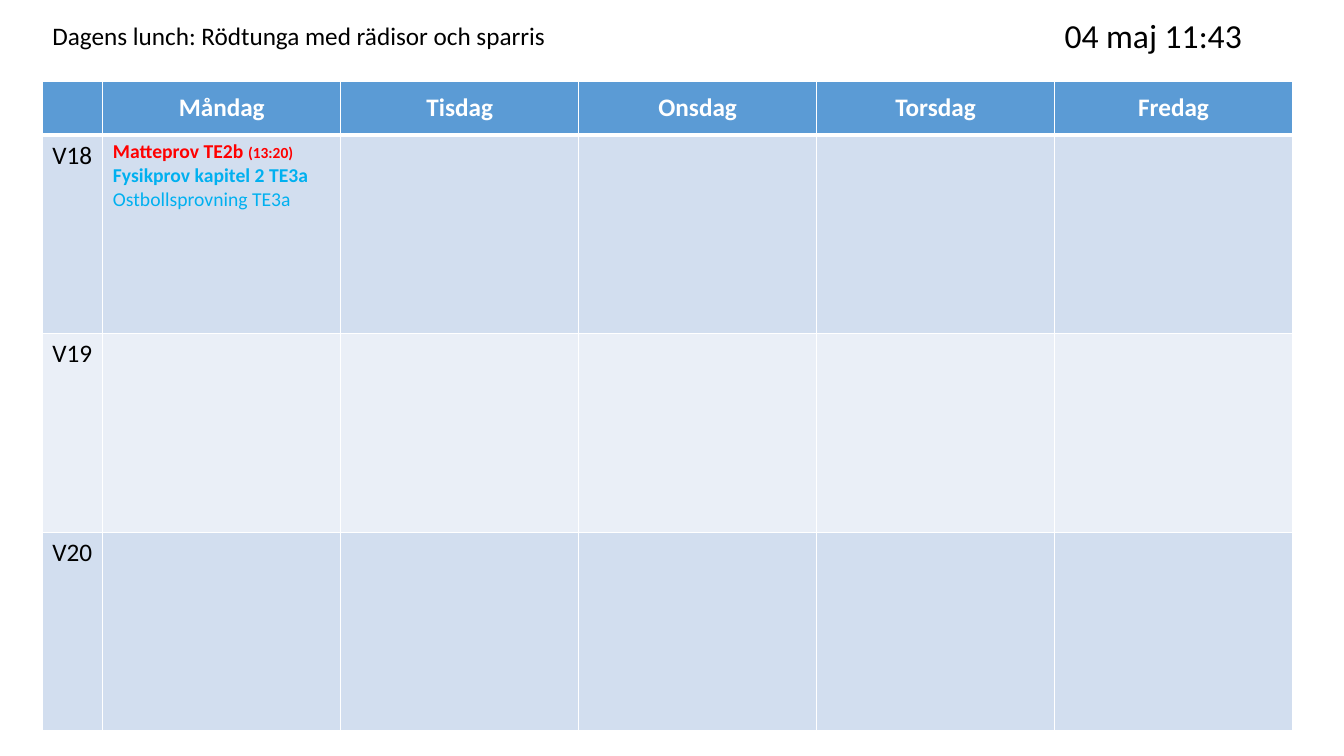
"""Build a three-week school planner slide with the lunch of the day."""
from lxml.etree import SubElement
from pptx import Presentation
from pptx.dml.color import RGBColor
from pptx.enum.text import MSO_ANCHOR, MSO_AUTO_SIZE, PP_ALIGN
from pptx.oxml.ns import qn
from pptx.util import Inches, Pt

COLORS = {
    "header": "5B9BD5",
    "odd_week": "D2DEEF",
    "even_week": "EAEFF7",
    "white": "FFFFFF",
    "black": "000000",
    "red": "FF0000",
    "blue": "00B0F0",
}
FONT = "Calibri"
GRID_STEP = Inches(0.1)
DAYS = ["Måndag", "Tisdag", "Onsdag", "Torsdag", "Fredag"]
WEEKS = ["V18", "V19", "V20"]
MONDAY_EVENTS = [
    [("Matteprov TE2b ", 14, "red", True), ("(13:20)", 11, "red", True)],
    [("Fysikprov kapitel 2 TE3a", 14, "blue", True)],
    [("Ostbollsprovning TE3a", 14, "blue", False)],
]


class Planner:
    def __init__(self, deck):
        self.slide = deck.slides.add_slide(deck.slide_layouts[5])

    def grid(self, *steps):
        return [round(step * GRID_STEP) for step in steps]

    def fill_text(self, frame, lines, align=PP_ALIGN.LEFT):
        frame.text = "\n".join("" for _ in lines)
        for paragraph, pieces in zip(frame.paragraphs, lines):
            paragraph.alignment = align
            for words, size, color, bold in pieces:
                run = paragraph.add_run()
                run.text = words
                run.font.name = FONT
                run.font.size = Pt(size)
                run.font.bold = bold
                run.font.color.rgb = RGBColor.from_string(COLORS[color])

    def heading(self, words, size, area):
        title = self.slide.shapes.title
        title.left, title.top, title.width, title.height = self.grid(*area)
        self.label(title.text_frame, words, size)

    def text(self, words, size, area):
        box = self.slide.shapes.add_textbox(*self.grid(*area))
        self.label(box.text_frame, words, size)

    def label(self, frame, words, size):
        self.fill_text(frame, [[(words, size, "black", False)]])
        frame.word_wrap = True
        frame.auto_size = MSO_AUTO_SIZE.SHAPE_TO_FIT_TEXT
        frame.vertical_anchor = MSO_ANCHOR.TOP

    def table(self, area, widths, heights):
        planner = self.slide.shapes.add_table(len(heights), len(widths), *self.grid(*area)).table
        for column, width in zip(planner.columns, self.grid(*widths)):
            column.width = width
        for row, height in zip(planner.rows, self.grid(*heights)):
            row.height = height
        for row_number, row in enumerate(planner.rows):
            fill = "header" if row_number == 0 else "odd_week" if row_number % 2 else "even_week"
            top = 3 if row_number == 1 else 1
            bottom = 3 if row_number == 0 else 1
            for cell in row.cells:
                self.cell_style(cell, fill, {"L": 1, "R": 1, "T": top, "B": bottom})
        return planner

    def cell_style(self, cell, fill, borders):
        properties = cell._tc.get_or_add_tcPr()
        for side, width in borders.items():
            line = SubElement(properties, qn(f"a:ln{side}"), w=str(Pt(width)))
            SubElement(SubElement(line, qn("a:solidFill")), qn("a:srgbClr"), val=COLORS["white"])
        cell.fill.solid()
        cell.fill.fore_color.rgb = RGBColor.from_string(COLORS[fill])


def main():
    deck = Presentation()
    deck.slide_width, deck.slide_height = Inches(13.33), Inches(7.5)
    page = Planner(deck)
    page.heading("Dagens lunch: Rödtunga med rädisor och sparris", 18, (4.2, 1.5, 54.4, 4))
    schedule = page.table((4.2, 8.1, 124, 64.4), [6] + [23.6] * len(DAYS), [5.3] + [19.7] * len(WEEKS))
    for column, day in enumerate(DAYS, 1):
        day_cell = schedule.cell(0, column)
        day_cell.vertical_anchor = MSO_ANCHOR.MIDDLE
        page.fill_text(day_cell.text_frame, [[(day, 18, "white", True)]], PP_ALIGN.CENTER)
    for row, week in enumerate(WEEKS, 1):
        page.fill_text(schedule.cell(row, 0).text_frame, [[(week, 18, "black", False)]])
    page.fill_text(schedule.cell(1, 1).text_frame, MONDAY_EVENTS)
    page.text("04 maj 11:43", 24, (104.6, 1, 22.1, 5))
    deck.save("out.pptx")


if __name__ == "__main__":
    main()
